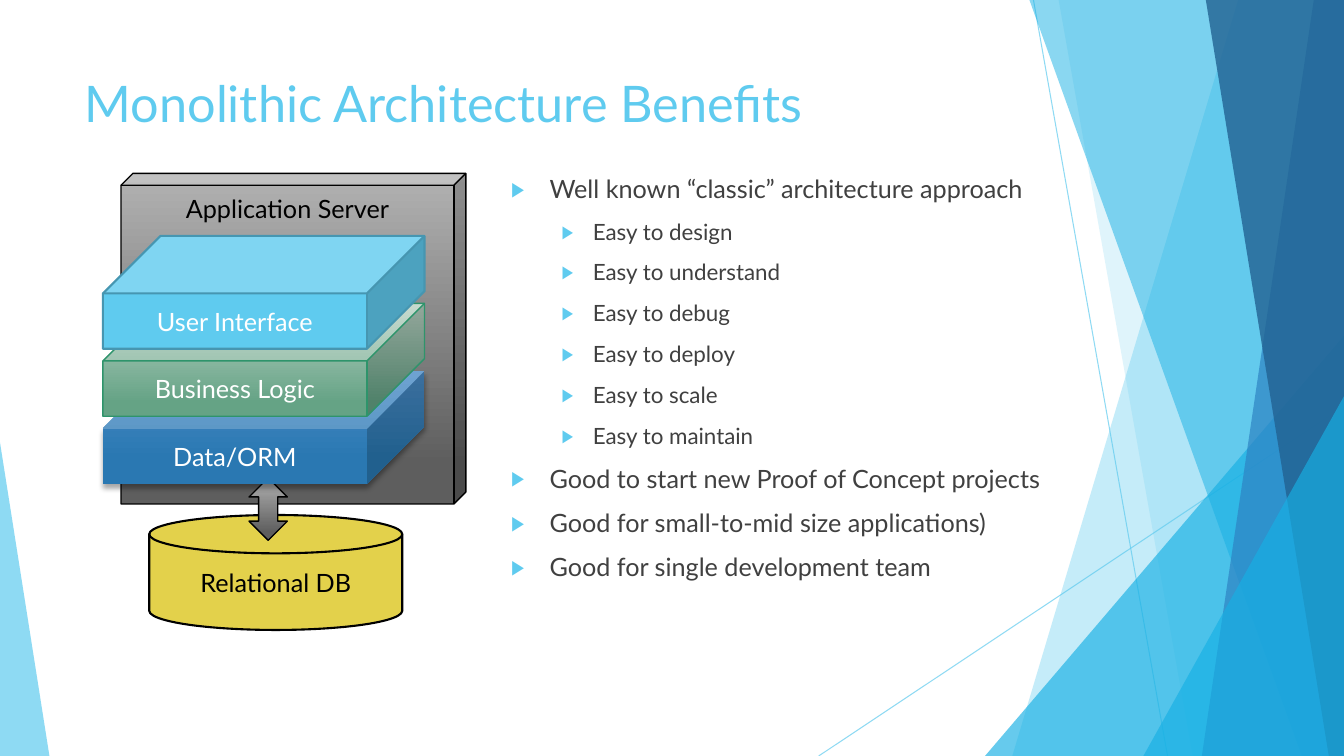
from lxml.etree import SubElement
from pptx import Presentation
from pptx.dml.color import RGBColor
from pptx.enum.shapes import MSO_CONNECTOR, MSO_SHAPE
from pptx.enum.text import MSO_ANCHOR, MSO_AUTO_SIZE, PP_ALIGN
from pptx.oxml.ns import qn
from pptx.util import Pt

PX = 9144
WIDE, HIGH = 1333, 750
FONT = "Lato"

SKY = RGBColor(0x5F, 0xCB, 0xEF)
CYAN = RGBColor(0x17, 0xB0, 0xE4)
BLUE = RGBColor(0x2E, 0x83, 0xC3)
NAVY = RGBColor(0x22, 0x62, 0x92)
TEAL = RGBColor(0x46, 0x96, 0xB1)
GREEN = RGBColor(0x2E, 0x94, 0x6B)
GOLD = RGBColor(0xE3, 0xD1, 0x4B)
INK = RGBColor(0x40, 0x40, 0x40)
BLACK = RGBColor(0, 0, 0)
WHITE = RGBColor(0xFF, 0xFF, 0xFF)
STEEL = (RGBColor(0xB2, 0xB2, 0xB2), RGBColor(0x5E, 0x5E, 0x5E), 0.88)
MOSS = (RGBColor(0xBA, 0xD1, 0xC4), RGBColor(0x65, 0xA3, 0x85), 0.88)
DEEP = (RGBColor(0x4A, 0x8B, 0xC6), RGBColor(0x2A, 0x78, 0xB2), 0.78)

LAYERS = [
    ("Data/ORM", DEEP, None, 0),
    ("Business Logic", MOSS, GREEN, 1),
    ("User Interface", SKY, TEAL, 1.5),
]
POINTS = [
    (0, "Well known “classic” architecture approach"),
    (1, "Easy to design"),
    (1, "Easy to understand"),
    (1, "Easy to debug"),
    (1, "Easy to deploy"),
    (1, "Easy to scale"),
    (1, "Easy to maintain"),
    (0, "Good to start new Proof of Concept projects"),
    (0, "Good for small-to-mid size applications)"),
    (0, "Good for single development team"),
]
LEVELS = [(18, 38, 38), (16, 81, 31)]


def assign(item, values):
    for name, value in values.items():
        setattr(item, name, value)


def place(item, box):
    names = ("left", "top", "width", "height")
    assign(item, {name: size * PX for name, size in zip(names, box)})


def fade(item, alpha):
    for color in item._element.spPr.iter(qn("a:srgbClr")):
        SubElement(color, qn("a:alpha"), val=str(alpha * 1000))


def paint(shape, fill, edge=None, width=0):
    shape.shadow.inherit = False
    if isinstance(fill, RGBColor):
        shape.fill.solid()
        shape.fill.fore_color.rgb = fill
    else:
        start, end, stop = fill
        shape.fill.gradient()
        shape.fill.gradient_angle = 270
        stops = shape.fill.gradient_stops
        stops[0].color.rgb, stops[1].color.rgb = start, end
        stops[0].position, stops[1].position = 0, stop
    if edge is None:
        shape.line.fill.background()
    else:
        shape.line.color.rgb = edge
        shape.line.width = Pt(width)


def block(slide, kind, box, bend=None):
    shape = slide.shapes.add_shape(kind, *(size * PX for size in box))
    if bend is not None:
        shape.adjustments[0] = bend
    return shape


def write(par, text, size, color):
    run = par.add_run()
    run.text = text
    assign(run.font, {"name": FONT, "size": Pt(size)})
    run.font.color.rgb = color


def label(shape, text, color, anchor=MSO_ANCHOR.MIDDLE):
    frame = shape.text_frame
    assign(frame, {"word_wrap": True, "vertical_anchor": anchor})
    par = frame.paragraphs[0]
    par.alignment = PP_ALIGN.CENTER
    write(par, text, 18, color)


def thread(slide, *ends):
    line = slide.shapes.add_connector(
        MSO_CONNECTOR.STRAIGHT, *(size * PX for size in ends))
    line.line.color.rgb = SKY
    line.line.width = Pt(0.75)
    fade(line, 70)
    SubElement(line._element.spPr, qn("a:effectLst"))


def pane(slide, box, head, foot, color, alpha):
    left, top, width, height = box
    right, base = left + width, top + height
    path = slide.shapes.build_freeform(head, top, scale=PX)
    path.add_line_segments([(right, top), (right, base), (foot, base)])
    shape = path.convert_to_shape()
    paint(shape, color)
    fade(shape, alpha)


def peak(slide, box, width, height, side, color, alpha):
    left, top, wide, high = box
    spot = (left + side * (wide - width), top + high - height, width, height)
    shape = block(slide, MSO_SHAPE.ISOSCELES_TRIANGLE, spot, side)
    paint(shape, color)
    fade(shape, alpha)


def facets(slide, box):
    left, top, width, height = box
    right, base = left + width, top + height
    thread(slide, right - 308, top, right - 175, base)
    thread(slide, right, top + 403, right - 521, base)
    pane(slide, box, right - 105, right - 329, SKY, 36)
    pane(slide, box, right - 283, right - 150, SKY, 20)
    peak(slide, box, 356, 417, 1, CYAN, 66)
    pane(slide, box, right - 312, right - 42, CYAN, 50)
    pane(slide, box, right - 30, right - 141, BLUE, 70)
    pane(slide, box, right - 137, right - 15, NAVY, 80)
    peak(slide, box, 199, 357, 1, CYAN, 66)
    peak(slide, box, 49, 311, 0, SKY, 70)


def cast(shape):
    glow = SubElement(
        shape._element.spPr.find(qn("a:effectLst")), qn("a:outerShdw"),
        blurRad=str(int(Pt(4))), dist=str(int(Pt(3))), dir="5400000",
        rotWithShape="0")
    color = SubElement(glow, qn("a:srgbClr"), val=str(BLACK))
    SubElement(color, qn("a:alpha"), val="35000")


def server(slide, box):
    left, top, width, height = box
    case = block(slide, MSO_SHAPE.CUBE,
                 (left + 18, top, width - 18, 328), 0.036)
    paint(case, STEEL, BLACK, 1)
    case.text_frame.margin_top = 8 * PX
    label(case, "Application Server", BLACK, MSO_ANCHOR.TOP)

    store = block(slide, MSO_SHAPE.FLOWCHART_MAGNETIC_DISK,
                  (left + 46, top + height - 114, 251, 114))
    paint(store, GOLD, BLACK, 1.5)
    label(store, "Relational DB", BLACK)

    arrow = block(slide, MSO_SHAPE.UP_DOWN_ARROW,
                  (left + 145, top + 302, 38, 62))
    paint(arrow, STEEL, BLACK, 1)

    for step, (text, fill, edge, line) in enumerate(LAYERS):
        layer = block(slide, MSO_SHAPE.CUBE,
                      (left, top + 196 - 67 * step, 319, 112), 0.51)
        paint(layer, fill, edge, line)
        label(layer, text, WHITE)
        if edge is None:
            cast(layer)


def fit(holder, box):
    place(holder, box)
    frame = holder.text_frame
    assign(frame, {"word_wrap": True, "auto_size": MSO_AUTO_SIZE.NONE,
                   "vertical_anchor": MSO_ANCHOR.TOP})
    return frame


def title(slide, box):
    par = fit(slide.shapes.title, box).paragraphs[0]
    par.alignment = PP_ALIGN.LEFT
    write(par, "Monolithic Architecture Benefits", 36, SKY)


def points(slide, box):
    frame = fit(slide.placeholders[1], box)
    for count, (level, text) in enumerate(POINTS):
        par = frame.add_paragraph() if count else frame.paragraphs[0]
        assign(par, {"level": level, "space_before": Pt(10),
                     "alignment": PP_ALIGN.LEFT})
        size, margin, hang = LEVELS[level]
        write(par, text, size, INK)
        props = par._p.get_or_add_pPr()
        props.set("marL", str(margin * PX))
        props.set("indent", str(-hang * PX))
        color = SubElement(props, qn("a:buClr"))
        SubElement(color, qn("a:srgbClr"), val=str(SKY))
        SubElement(props, qn("a:buSzPct"), val="80000")
        SubElement(props, qn("a:buFont"), typeface=FONT)
        SubElement(props, qn("a:buChar"), char="▶")


def main():
    deck = Presentation()
    assign(deck, {"slide_width": WIDE * PX, "slide_height": HIGH * PX})
    slide = deck.slides.add_slide(deck.slide_layouts[1])
    facets(slide, (0, 0, WIDE, HIGH))
    server(slide, (102, 172, 360, 453))
    title(slide, (74, 67, 940, 144))
    points(slide, (497, 167, 659, 480))
    deck.save("out.pptx")


if __name__ == "__main__":
    main()
